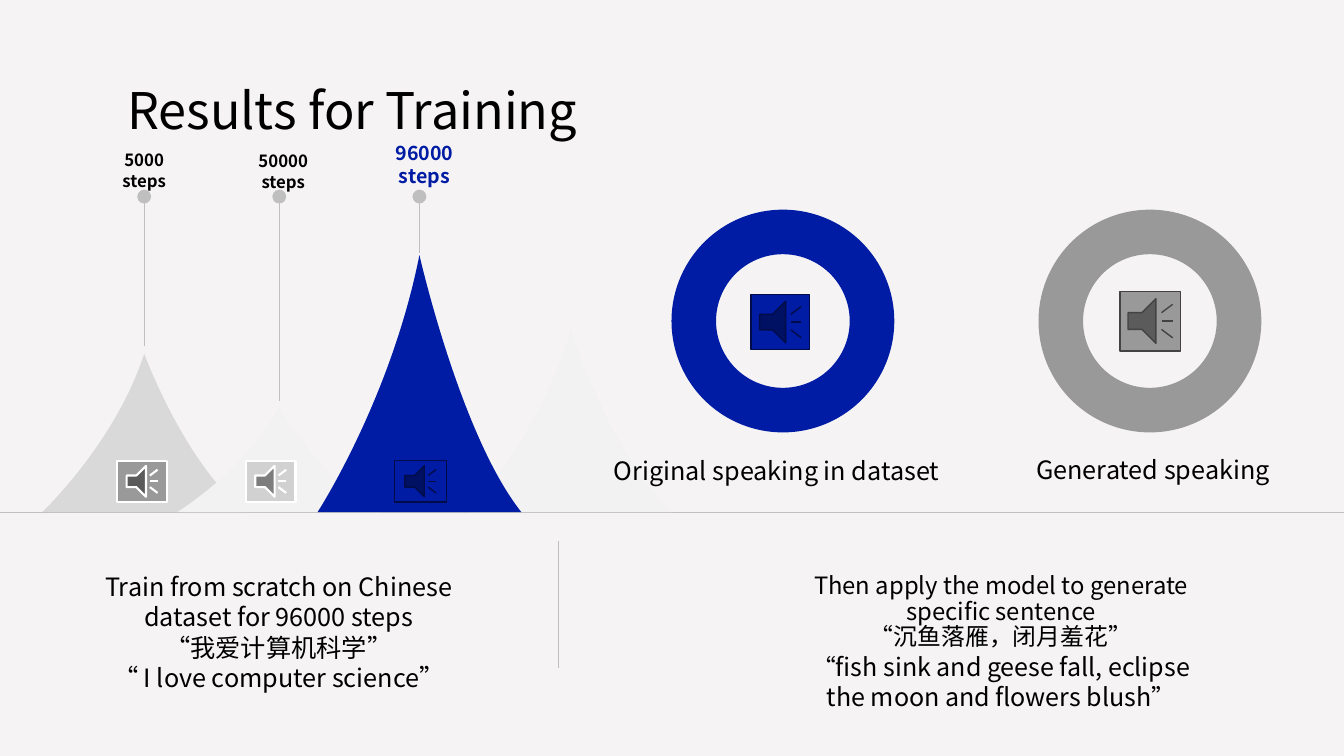
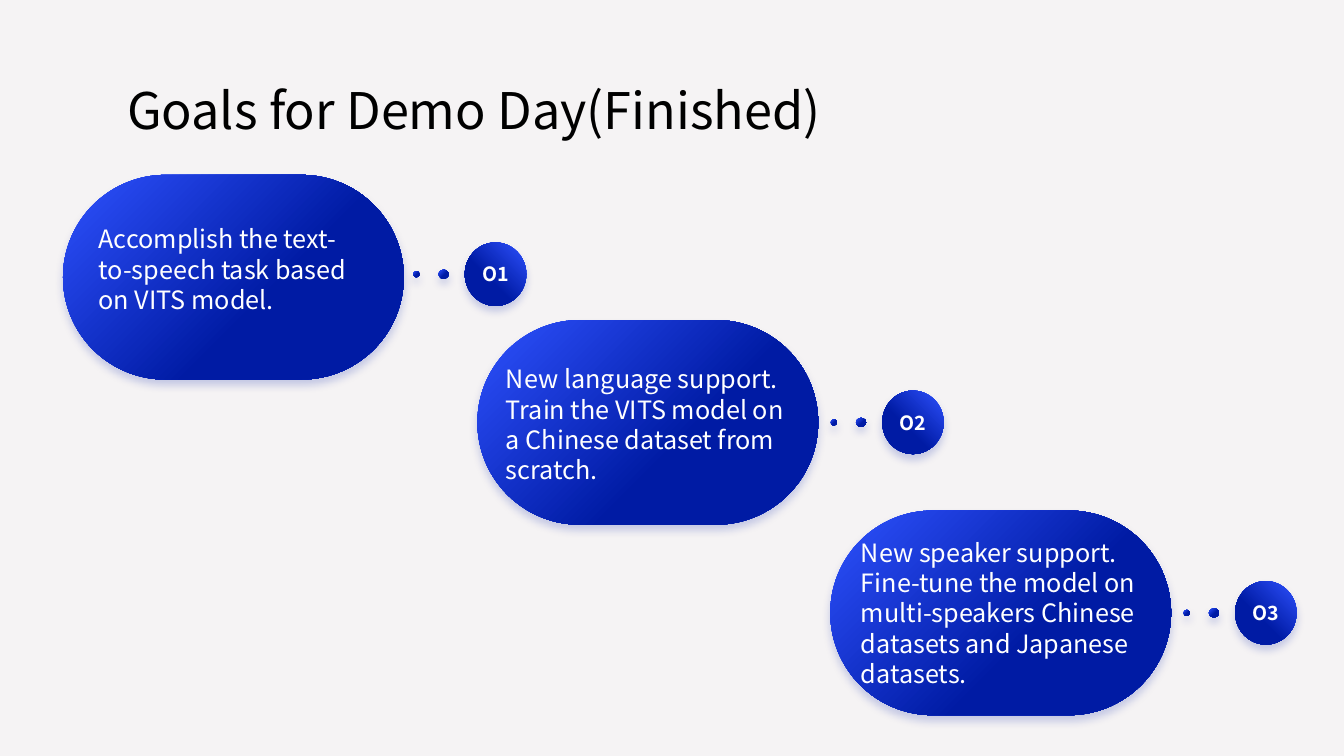
from dataclasses import dataclass

from lxml import etree
from pptx import Presentation
from pptx.dml.color import RGBColor
from pptx.enum.dml import MSO_LINE
from pptx.enum.shapes import MSO_CONNECTOR, MSO_SHAPE
from pptx.enum.text import MSO_ANCHOR, MSO_AUTO_SIZE, PP_ALIGN
from pptx.oxml.ns import qn
from pptx.util import Inches, Pt

LEFT, CENTER = PP_ALIGN.LEFT, PP_ALIGN.CENTER
TOP, MIDDLE = MSO_ANCHOR.TOP, MSO_ANCHOR.MIDDLE
OVAL, PILL, RECT = MSO_SHAPE.OVAL, MSO_SHAPE.ROUNDED_RECTANGLE, MSO_SHAPE.RECTANGLE
DONUT, SOUND = MSO_SHAPE.DONUT, MSO_SHAPE.ACTION_BUTTON_SOUND
STRAIGHT, DOTTED = MSO_CONNECTOR.STRAIGHT, MSO_LINE.ROUND_DOT
GROW, FIXED = MSO_AUTO_SIZE.SHAPE_TO_FIT_TEXT, MSO_AUTO_SIZE.NONE

FONT = "Noto Sans CJK SC"
COLORS = {
    "background": "F5F3F4",
    "text": "000000",
    "white": "FFFFFF",
    "blue": "001BA4",
    "bright": "2F52FF",
    "navy": "000C48",
    "rule": "BFBFBF",
    "gray": "999999",
    "dark": "434343",
    "silver": "D1D1D1",
    "light": "D9D9D9",
    "faint": "F2F2F2",
}
SLIDE_W, SLIDE_H = 13.33, 7.5
BASELINE = 5.08
PEAK_W = 2.02
PIN_TOP = 1.95
PILL_W, PILL_H = 2.03, 3.38
BADGE_W, BADGE_H = 0.61, 0.63


@dataclass
class Label:
    text: str
    box: tuple[float, float, float, float]
    pin_bottom: float
    size: float
    color: str = "text"


@dataclass
class Peak:
    left: float
    height: float
    color: str
    label: Label | None = None


@dataclass
class SoundButton:
    box: tuple[float, float, float, float]
    fill: str
    line: str
    width: float


@dataclass
class Ring:
    left: float
    color: str
    caption: str
    caption_box: tuple[float, float, float, float]


@dataclass
class Goal:
    """One step; left and top place the pill before its quarter turn."""
    number: str
    left: float
    top: float
    badge_left: float
    middle: float
    text: str
    text_box: tuple[float, float, float, float]


PEAKS = [
    Peak(0.42, 1.57, "light", Label("5000\nsteps", (0.9, 1.45, 1.06, 0.48), 3.43, 12)),
    Peak(1.76, 1.04, "faint", Label("50000\nsteps", (2.28, 1.46, 1.06, 0.48), 3.97, 12)),
    Peak(4.65, 1.8, "faint"),
    Peak(3.15, 2.55, "blue", Label("96000 steps", (3.63, 1.39, 1.16, 0.48), 2.5, 14, "blue")),
]
RINGS = [
    Ring(6.66, "blue", "Original speaking in dataset", (5.99, 4.47, 3.62, 0.4)),
    Ring(10.3, "gray", "Generated speaking", (10.18, 4.46, 2.9, 0.4)),
]
BUTTONS = [
    SoundButton((1.16, 4.57, 0.5, 0.41), "gray", "white", 1.5),
    SoundButton((2.44, 4.57, 0.49, 0.41), "silver", "white", 1.5),
    SoundButton((3.91, 4.57, 0.52, 0.41), "blue", "navy", 1),
    SoundButton((7.45, 2.92, 0.58, 0.55), "blue", "navy", 1),
    SoundButton((11.11, 2.89, 0.6, 0.59), "gray", "dark", 1),
]
GOALS = [
    Goal("O1", 1.3, 1.06, 4.61, 2.72,
         "Accomplish the text-to-speech task based on VITS model.",
         (0.88, 2.17, 2.87, 1.01)),
    Goal("O2", 5.41, 2.5, 8.75, 4.19,
         "New language support. Train the VITS model on a Chinese dataset from scratch.",
         (4.92, 3.56, 3.05, 1.31)),
    Goal("O3", 8.91, 4.39, 12.25, 6.08,
         "New speaker support. Fine-tune the model on multi-speakers Chinese "
         "datasets and Japanese datasets.",
         (8.44, 5.28, 3.24, 1.78)),
]


def rgb(name: str) -> RGBColor:
    return RGBColor.from_string(COLORS[name])


def inches(values) -> list:
    return [Inches(v) for v in values]


def add_run(p, text: str, *, size: float, color="text", bold=False) -> None:
    r = p.add_run()
    r.text = text
    r.font.size, r.font.bold, r.font.name = Pt(size), bold, FONT
    r.font.color.rgb = rgb(color)
    etree.SubElement(r.font._element, qn("a:ea"), typeface=FONT)


def write(tf, text: str, *, size=18, color="text", bold=False, align=LEFT,
          anchor=TOP, spacing=None, wrap=True, fit=FIXED) -> None:
    """Fill a text frame, one paragraph per line of text."""
    tf.word_wrap, tf.auto_size, tf.vertical_anchor = wrap, fit, anchor
    for i, line in enumerate(text.split("\n")):
        p = tf.add_paragraph() if i else tf.paragraphs[0]
        p.alignment, p.line_spacing = align, spacing
        add_run(p, line, size=size, color=color, bold=bold)


def add_text(s, box, text: str, **fmt):
    tf = s.shapes.add_textbox(*inches(box)).text_frame
    write(tf, text, **fmt)
    return tf


def add_title_slide(prs, title: str):
    s = prs.slides.add_slide(prs.slide_layouts[5])
    sp = s.shapes.title
    sp.left, sp.top, sp.width, sp.height = inches((1.16, 0.4, 11.25, 1.45))
    write(sp.text_frame, title, size=36, anchor=MIDDLE, spacing=0.9)
    return s


def add_line(s, start, end, width=0.25, pin=False) -> None:
    """Draw a thin rule; a pin is dotted with a round head at its start."""
    line = s.shapes.add_connector(STRAIGHT, *inches((*start, *end)))
    line.line.color.rgb, line.line.width = rgb("rule"), Pt(width)
    if pin:
        line.line.dash_style = DOTTED
        etree.SubElement(line.line._get_or_add_ln(), qn("a:headEnd"),
                         type="oval", w="lg", len="lg")
    etree.SubElement(line._element.spPr, qn("a:effectLst"))


def set_flat(sp, fill: str) -> None:
    sp.shadow.inherit = False
    sp.fill.solid()
    sp.fill.fore_color.rgb = rgb(fill)
    sp.line.fill.background()


def add_solid(s, kind, box, fill: str):
    sp = s.shapes.add_shape(kind, *inches(box))
    set_flat(sp, fill)
    return sp


def add_glossy(s, kind, box, rotation=0):
    """Add a shape with the blue gradient and a soft blue shadow."""
    sp = s.shapes.add_shape(kind, *inches(box))
    sp.rotation = rotation
    sp.line.fill.background()
    sp.fill.gradient()
    sp.fill.gradient_angle = 225
    for stop, color, position in zip(sp.fill.gradient_stops, ("bright", "blue"), (0, 0.6)):
        stop.color.rgb, stop.position = rgb(color), position
    sp.shadow.inherit = False
    effects = sp._element.spPr.find(qn("a:effectLst"))
    shadow = etree.SubElement(effects, qn("a:outerShdw"), blurRad=str(Pt(6)),
                              dist=str(Pt(4)), dir="5400000", algn="t", rotWithShape="0")
    color = etree.SubElement(shadow, qn("a:srgbClr"), val=COLORS["blue"])
    etree.SubElement(color, qn("a:alpha"), val="20000")
    return sp


def bend(sp, first: int) -> None:
    """Turn each three segments of an outline, from the given one on, into a curve."""
    segments = list(sp._element.iter(qn("a:lnTo")))[first:]
    for i in range(0, len(segments), 3):
        curve = etree.Element(qn("a:cubicBezTo"))
        segments[i].addprevious(curve)
        for segment in segments[i:i + 3]:
            curve.append(segment[0])
            segment.getparent().remove(segment)


def add_peak(s, peak: Peak) -> None:
    top = BASELINE - peak.height

    def at(x: float, y: float) -> list:
        return inches((peak.left + x * PEAK_W, top + y * peak.height))

    start, end, apex = at(0, 1), at(1, 1), at(0.5, 0)
    builder = s.shapes.build_freeform(*start, scale=1.0)
    builder.add_line_segments([end, at(0.7, 0.7), apex, apex,
                               at(0.36, 0.56), start, start], close=True)
    sp = builder.convert_to_shape()
    bend(sp, first=1)
    set_flat(sp, peak.color)
    label = peak.label
    if label:
        pin = peak.left + PEAK_W / 2
        add_line(s, (pin, PIN_TOP), (pin, label.pin_bottom), pin=True)
        add_text(s, label.box, label.text, size=label.size, color=label.color,
                 bold=True, align=CENTER, anchor=MIDDLE)


def add_ring(s, ring: Ring) -> None:
    sp = add_solid(s, DONUT, (ring.left, 2.08, 2.21, 2.21), ring.color)
    sp.adjustments[0] = 0.2
    add_text(s, ring.caption_box, ring.caption, fit=GROW)


def add_button(s, button: SoundButton) -> None:
    sp = add_solid(s, SOUND, button.box, button.fill)
    sp.line.color.rgb, sp.line.width = rgb(button.line), Pt(button.width)


def add_goal(s, goal: Goal) -> None:
    pill = add_glossy(s, PILL, (goal.left, goal.top, PILL_W, PILL_H), rotation=270)
    pill.adjustments[0] = 0.5
    badge = add_glossy(s, OVAL, (goal.badge_left, goal.middle - BADGE_H / 2,
                                 BADGE_W, BADGE_H))
    write(badge.text_frame, goal.number, size=14, color="white", bold=True,
          align=CENTER, anchor=MIDDLE, wrap=False)
    for offset, w, h in ((0.48, 0.06, 0.06), (0.21, 0.09, 0.1)):
        add_glossy(s, OVAL, (goal.badge_left - offset - w / 2,
                             goal.middle - h / 2, w, h), rotation=270)
    add_text(s, goal.text_box, goal.text, color="white", fit=GROW)


def add_backdrop(prs, s) -> None:
    """Draw the shared backdrop and move it to the bottom of the master."""
    sp = add_solid(s, RECT, (0, 0, SLIDE_W, SLIDE_H), "background")
    prs.slide_master.shapes._spTree.insert(2, sp._element)


def build_results(prs) -> None:
    s = add_title_slide(prs, "Results for Training")
    add_backdrop(prs, s)
    add_line(s, (-0.01, BASELINE), (SLIDE_W, BASELINE), width=0.5)
    add_line(s, (5.54, 5.37), (5.54, 6.63))
    for peak in PEAKS:
        add_peak(s, peak)
    for ring in RINGS:
        add_ring(s, ring)
    for button in BUTTONS:
        add_button(s, button)
    add_text(s, (0.74, 5.37, 4.05, 1.8),
             "Train from scratch on Chinese dataset for 96000 steps\n"
             "“我爱计算机科学”\n“ I love computer science”",
             align=CENTER, anchor=MIDDLE)
    tf = add_text(s, (7.8, 5.65, 4.26, 1.45),
                  "Then apply the model to generate specific sentence\n“沉鱼落雁，闭月羞花”",
                  size=17, align=CENTER, anchor=MIDDLE, spacing=0.9)
    p = tf.add_paragraph()
    p.alignment = CENTER
    add_run(p, "“", size=17)
    add_run(p, "fish sink and geese fall, eclipse the moon and flowers blush", size=17.9)
    add_run(p, "”", size=17)


def build_goals(prs) -> None:
    s = add_title_slide(prs, "Goals for Demo Day(Finished)")
    for goal in GOALS:
        add_goal(s, goal)


def main() -> None:
    prs = Presentation()
    prs.slide_width, prs.slide_height = Inches(SLIDE_W), Inches(SLIDE_H)
    build_results(prs)
    build_goals(prs)
    prs.save("out.pptx")


if __name__ == "__main__":
    main()
